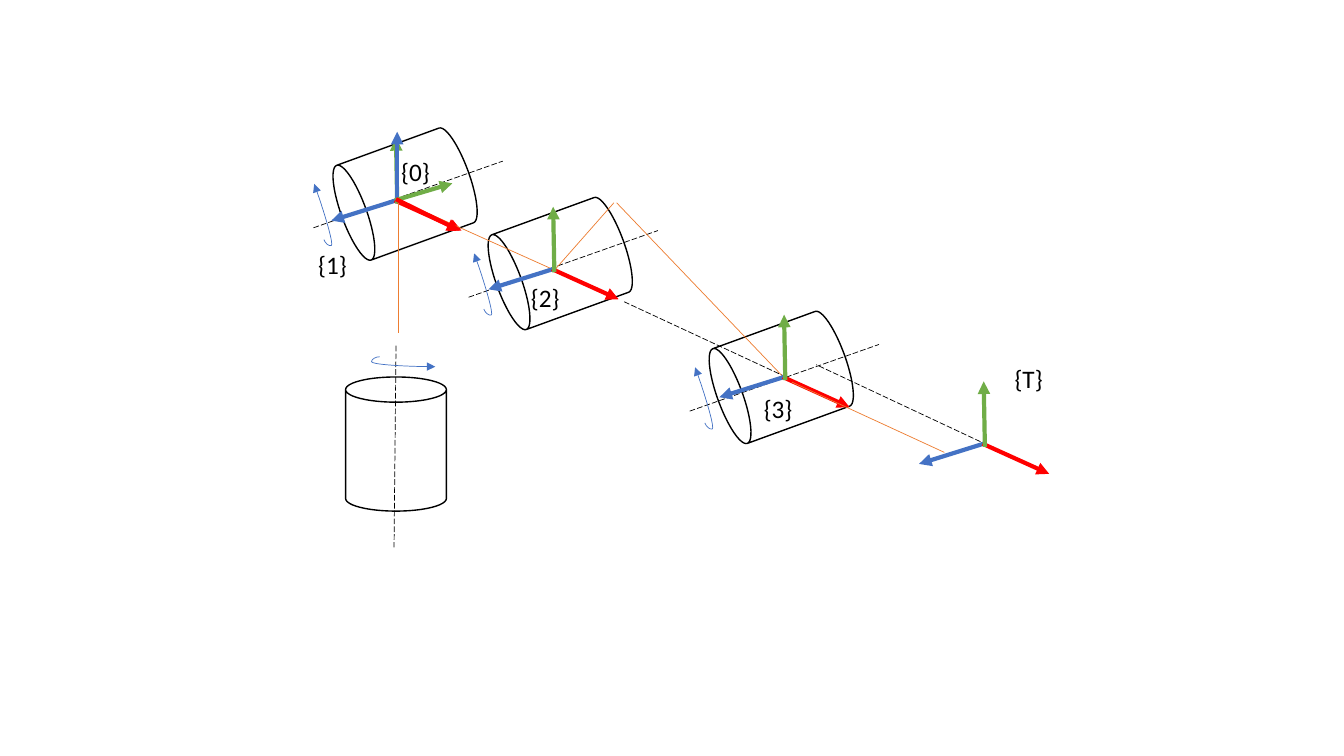
from lxml.etree import SubElement
from pptx import Presentation
from pptx.dml.color import RGBColor
from pptx.enum.dml import MSO_LINE
from pptx.enum.shapes import MSO_CONNECTOR, MSO_SHAPE
from pptx.enum.text import MSO_AUTO_SIZE
from pptx.oxml.ns import qn
from pptx.util import Cm, Pt

HUES = {"ink": "000000", "body": "FFFFFF", "x": "FF0000", "y": "70AD47",
        "z": "4472C4", "link": "ED7D31"}
TILT = 250

# Axis arrows as (colour, start, end), in cm from the frame's origin
TRIAD = [("z", (0, 0), (-1.63, 0.51)),
         ("x", (-0.03, 0), (1.65, 0.76)),
         ("y", (0.03, 0.08), (0, -1.57))]
BASE = [("z", (0.03, 0.05), (0.03, -1.73)),
        ("y", (-0.03, 0), (1.42, -0.43)),
        ("x", (0, -0.03), (1.6, 0.76))]

# Rotation axis as (start, end), in cm from the cylinder's box
SLOPED = ((-1.04, 2.54), (3.73, 0.86))
UPRIGHT = ((1.27, -0.79), (1.22, 4.29))


def hue(name):
    return RGBColor.from_string(HUES[name])


def add_line(shapes, start, end, color, width=0.5, dash=False, head=False,
             kind=MSO_CONNECTOR.STRAIGHT):
    line = shapes.add_connector(kind, *map(Cm, (*start, *end)))
    line.line.color.rgb = hue(color)
    line.line.width = Pt(width)
    if dash:
        line.line.dash_style = MSO_LINE.LONG_DASH
    if head:
        SubElement(line.line._get_or_add_ln(), qn("a:tailEnd"), type="triangle")
    SubElement(line._element.spPr, qn("a:effectLst"))
    return line


def add_twist(shapes, left, top, turn):
    """Curved arrow that shows the sense of rotation."""
    arrow = add_line(shapes, (left, top), (left + 1.4, top + 0.25), "z",
                     head=True, kind=MSO_CONNECTOR.CURVE)
    props = arrow._element.spPr
    props.find(qn("a:xfrm")).set("rot", str(turn * 60000))
    guides = props.find(qn("a:prstGeom")).find(qn("a:avLst"))
    SubElement(guides, qn("a:gd"), name="adj1", fmla="val -14800")


def add_joint(slide, left, top, axis, twist, turn=TILT):
    """Cylinder with its axis and twist arrow, both set from its box."""
    shapes = slide.shapes.add_group_shape().shapes
    can = shapes.add_shape(MSO_SHAPE.CAN, Cm(left), Cm(top), Cm(2.54), Cm(3.38))
    can.rotation = turn
    can.shadow.inherit = False
    can.fill.solid()
    can.fill.fore_color.rgb = hue("body")
    can.line.color.rgb = hue("ink")
    can.line.width = Pt(1)
    start, end = [(left + x, top + y) for x, y in axis]
    add_line(shapes, start, end, "ink", dash=True)
    add_twist(shapes, left + twist[0], top + twist[1], turn)


def add_frame(slide, left, top, axes=TRIAD):
    shapes = slide.shapes.add_group_shape().shapes
    for color, *ends in axes:
        start, end = [(left + x, top + y) for x, y in ends]
        add_line(shapes, start, end, color, width=3, head=True)


def add_label(slide, left, top, text):
    box = slide.shapes.add_textbox(Cm(left), Cm(top), Cm(1.24), Cm(1.02))
    frame = box.text_frame
    frame.word_wrap = False
    frame.auto_size = MSO_AUTO_SIZE.SHAPE_TO_FIT_TEXT
    frame.text = text
    font = frame.paragraphs[0].runs[0].font
    font.name, font.size = "Calibri", Pt(18)
    font.color.rgb = hue("ink")


def add_arm(slide):
    shapes = slide.shapes
    add_joint(slide, 8.94, 3.2, SLOPED, (-1.6, 2.01))
    add_frame(slide, 9.98, 5.05)
    add_joint(slide, 12.85, 4.95, SLOPED, (-1.48, 2.01))
    add_line(shapes, (13.87, 6.76), (10.13, 5.08), "link")
    add_joint(slide, 18.42, 7.82, SLOPED, (-1.48, 2.01))
    add_line(shapes, (13.97, 6.81), (15.47, 5.11), "link")
    add_joint(slide, 8.71, 9.5, UPRIGHT, (0.86, -0.51), turn=0)
    add_line(shapes, (10.03, 4.9), (10.03, 8.38), "link")
    add_frame(slide, 9.98, 5.05, BASE)

    for left, top, text in [(9.86, 3.81, "{0}"), (7.77, 6.15, "{1}"),
                            (13.13, 6.99, "{2}"), (19.0, 9.78, "{3}"),
                            (25.32, 9.04, "{T}")]:
        add_label(slide, left, top, text)

    add_frame(slide, 13.94, 6.78)
    add_line(shapes, (19.81, 9.5), (15.7, 7.59), "ink", dash=True)
    add_line(shapes, (15.54, 5.11), (19.74, 9.5), "link")
    add_frame(slide, 19.76, 9.5)
    add_line(shapes, (24.71, 11.13), (20.57, 9.19), "ink", dash=True)
    add_line(shapes, (23.8, 11.4), (19.96, 9.63), "link")
    add_frame(slide, 24.79, 11.18)


def main():
    deck = Presentation()
    deck.slide_width, deck.slide_height = Cm(33.87), Cm(19.05)
    add_arm(deck.slides.add_slide(deck.slide_layouts[6]))
    deck.save("out.pptx")


if __name__ == "__main__":
    main()
